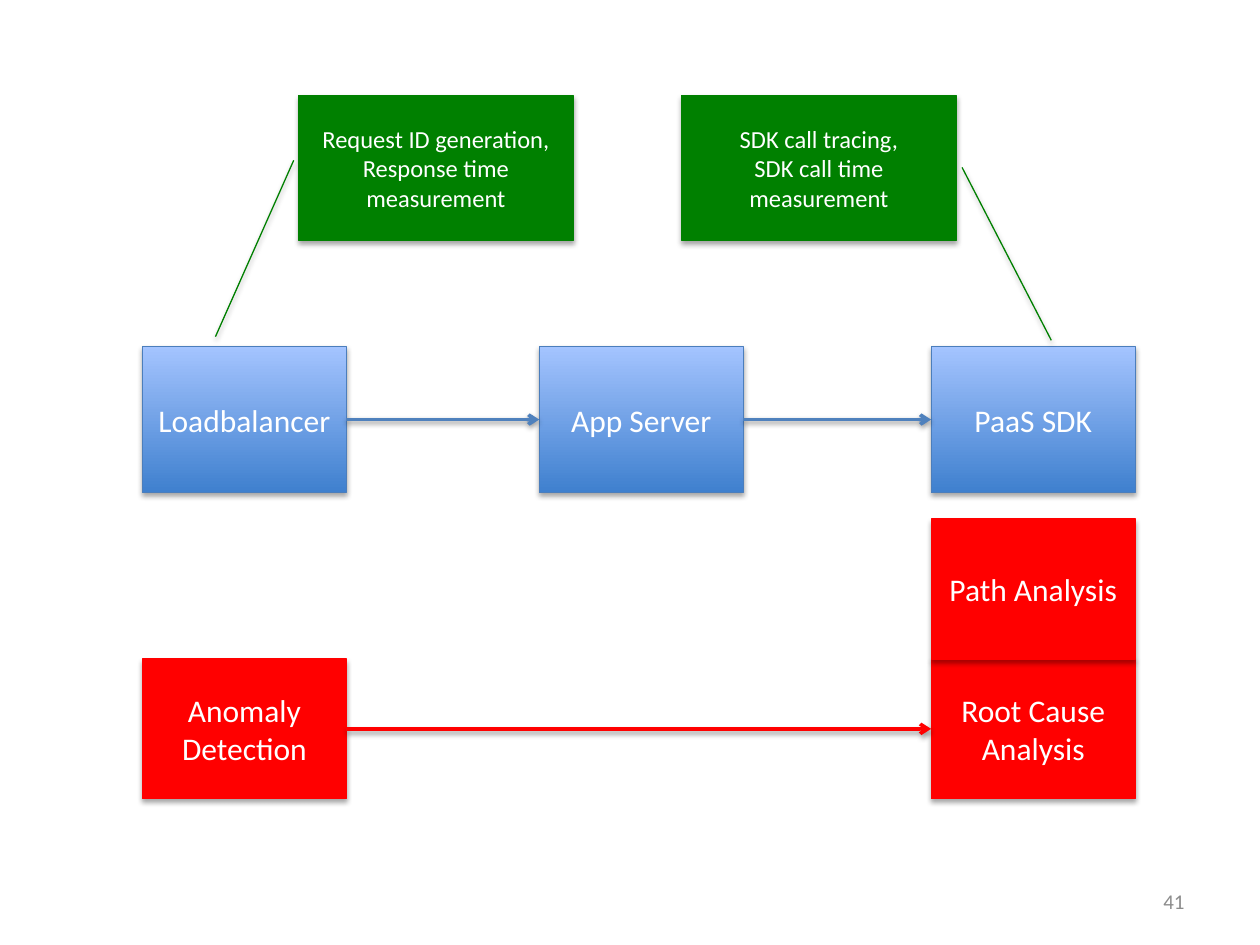
from lxml import etree
from pptx import Presentation
from pptx import util as u
from pptx.dml.color import RGBColor
from pptx.enum import shapes, text
from pptx.oxml.ns import qn

# Content
COL = {"left": 1.13, "middle": 4.28, "right": 7.39}
BOX_W, STAGE_H, ANALYSIS_H = 1.62, 1.16, 1.11
STAGE_TOP, PATH_TOP = 2.75, 4.12
CAUSE_TOP = PATH_TOP + ANALYSIS_H
RED, GREEN, BLUE, WHITE = "FF0000", "008000", "4F81BD", "FFFFFF"
STAGE_GRADIENT, STAGE_LINE = ("3F80CE", "A4C4FF"), "4B7EBC"

STAGES = [("Loadbalancer", "left"), ("App Server", "middle"), ("PaaS SDK", "right")]
ANALYSES = [
    ("Anomaly Detection", "left", CAUSE_TOP),
    ("Root Cause Analysis", "right", CAUSE_TOP),
    ("Path Analysis", "right", PATH_TOP),
]
# Left edge, lines of text, callout line as fractions (y1, x1, y2, x2)
CALLOUTS = [
    (2.37, ["Request ID generation,", "Response time measurement"],
     (0.446, -0.018, 1.663, -0.303)),
    (5.41, ["SDK call tracing,", "SDK call time measurement"],
     (0.495, 1.021, 1.688, 1.346)),
]
ARROWS = [
    ("Anomaly Detection", "Root Cause Analysis", RED),
    ("Loadbalancer", "App Server", BLUE),
    ("App Server", "PaaS SDK", BLUE),
]


def rgb(value):
    return RGBColor.from_string(value)


def add_shadow(sp, blur, dist, alpha):
    effects = etree.SubElement(sp._element.spPr, qn("a:effectLst"))
    shadow = etree.SubElement(
        effects, qn("a:outerShdw"), blurRad=str(u.Pt(blur)), dist=str(u.Pt(dist)),
        dir="5400000", rotWithShape="0")
    color = etree.SubElement(shadow, qn("a:srgbClr"), val="000000")
    etree.SubElement(color, qn("a:alpha"), val=str(alpha * 1000))


def write(sp, lines, size, color, align):
    tf = sp.text_frame
    tf.word_wrap = True
    tf.vertical_anchor = text.MSO_ANCHOR.MIDDLE
    for i, line in enumerate(lines):
        p = tf.add_paragraph() if i else tf.paragraphs[0]
        p.alignment = align
        r = p.add_run()
        r.text = line
        r.font.name, r.font.size = "Calibri", u.Pt(size)
        r.font.color.rgb = rgb(color)


def add_box(kind, at, lines, size, fill, line):
    sp = slide.shapes.add_shape(kind, *map(u.Inches, at))
    if isinstance(fill, tuple):
        sp.fill.gradient()
        sp.fill.gradient_angle = 90
        for stop, color in zip(sp.fill.gradient_stops, fill):
            stop.color.rgb = rgb(color)
    else:
        sp.fill.solid()
        sp.fill.fore_color.rgb = rgb(fill)
    sp.line.color.rgb = rgb(line)
    sp.line.width = u.Pt(0.75)
    add_shadow(sp, 3.1, 1.8, 35)
    write(sp, lines, size, WHITE, text.PP_ALIGN.CENTER)
    return sp


def add_arrow(start, end, color):
    line = slide.shapes.add_connector(shapes.MSO_CONNECTOR.STRAIGHT, 0, 0, 0, 0)
    line.begin_connect(start, 3)
    line.end_connect(end, 1)
    line.line.color.rgb = rgb(color)
    line.line.width = u.Pt(2)
    etree.SubElement(line.line._get_or_add_ln(), qn("a:tailEnd"), type="arrow")
    add_shadow(line, 3.1, 1.6, 38)


prs = Presentation()
prs.slide_width, prs.slide_height = u.Inches(10), u.Inches(7.5)
slide = prs.slides.add_slide(prs.slide_layouts[6])
RECT = shapes.MSO_SHAPE.RECTANGLE
boxes = {}

# Request path
for label, col in STAGES:
    boxes[label] = add_box(RECT, (COL[col], STAGE_TOP, BOX_W, STAGE_H),
                           [label], 18, STAGE_GRADIENT, STAGE_LINE)

# Instrumentation callouts
for left, lines, pointer in CALLOUTS:
    sp = add_box(shapes.MSO_SHAPE.LINE_CALLOUT_1, (left, 0.76, 2.18, 1.15),
                 lines, 14, GREEN, GREEN)
    for i, value in enumerate(pointer):
        sp.adjustments[i] = value

# Analysis steps
for label, col, top in ANALYSES:
    boxes[label] = add_box(RECT, (COL[col], top, BOX_W, ANALYSIS_H),
                           [label], 18, RED, RED)

# Arrows
for start, end, color in ARROWS:
    add_arrow(boxes[start], boxes[end], color)

# Slide number
number = slide.shapes.add_textbox(*map(u.Inches, (7.17, 6.95, 2.33, 0.4)))
write(number, ["41"], 12, "8C8C8C", text.PP_ALIGN.RIGHT)

prs.save("out.pptx")
